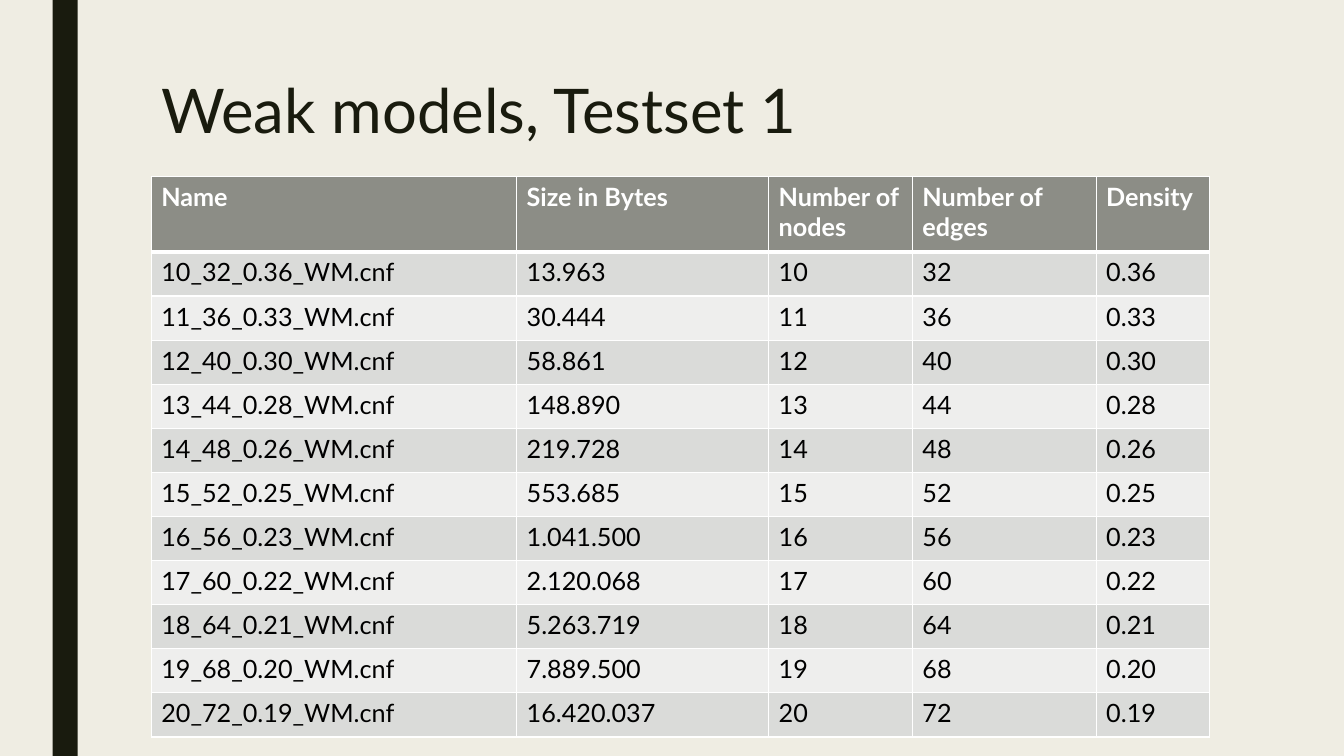
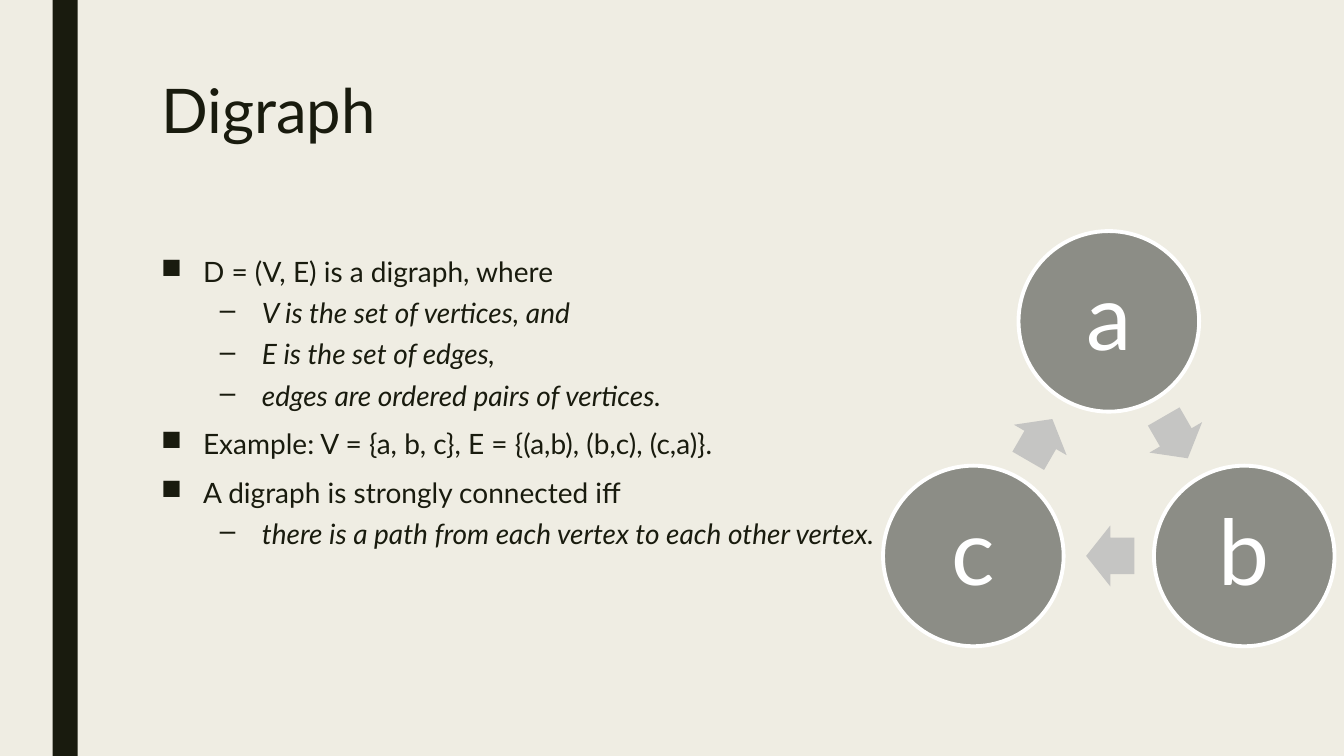
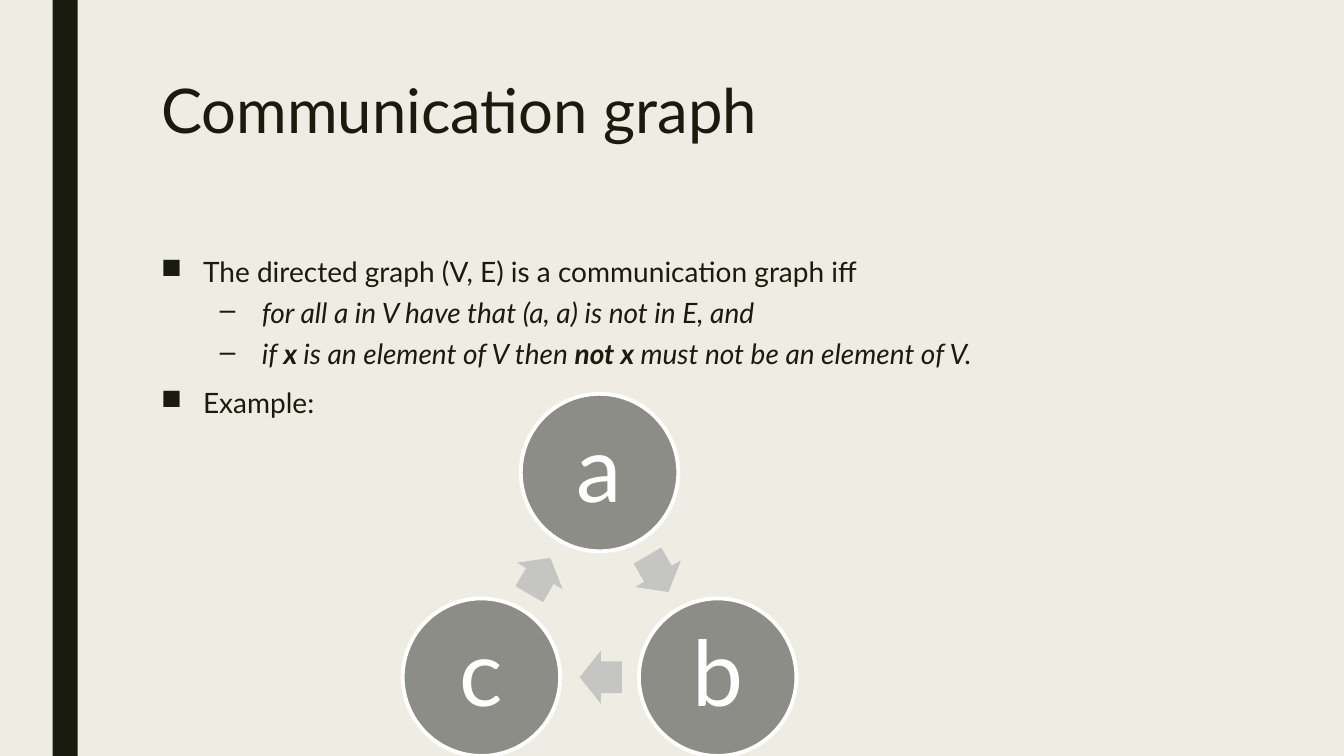
from math import cos, radians, sin, sqrt

from lxml import etree
from pptx import Presentation
from pptx.dml.color import RGBColor
from pptx.enum.shapes import MSO_SHAPE
from pptx.enum.text import MSO_ANCHOR, PP_ALIGN
from pptx.oxml.ns import qn
from pptx.util import Pt

RECTANGLE = MSO_SHAPE.RECTANGLE
OVAL = MSO_SHAPE.OVAL
RIGHT_ARROW = MSO_SHAPE.RIGHT_ARROW
MIDDLE = MSO_ANCHOR.MIDDLE
CENTER = PP_ALIGN.CENTER

THEME = {
    "font": "Lato",
    "ink": "191B0E",
    "paper": "EFEDE3",
    "accent": "8C8D86",
    "arrow": "C5C5C3",
    "white": "FFFFFF",
    "cell_text": "000000",
    "row_bands": ("DADBD9", "EEEEED"),
    "title_size": 44,
    "body_size": 20,
    "table_size": 18,
    "vertex_size": 65,
    "vertex_line": 2.75,
    "grid_line": 1,
    "header_line": 3,
}

EMU_PER_PX = 9525
SLIDE_SIZE = (1280, 720)
BAND_BOX = (50, 0, 24, 720)
TITLE_BOX = (144, 72, 1008, 156)
BODY_BOX = (144, 240, 1008, 376)
TABLE_ORIGIN = (144, 168)
COLUMN_WIDTHS = (348, 240, 137, 175, 108)
HEADER_HEIGHT, ROW_HEIGHT = 72, 42

BULLET_LEVELS = (
    {"char": "■", "left": 40, "hang": 40, "before": 10, "italic": False},
    {"char": "–", "left": 96, "hang": 40, "before": 5, "italic": True},
)

WEAK_MODELS_HEADER = ("Name", "Size in Bytes", "Number of nodes", "Number of edges", "Density")
WEAK_MODELS = [
    ("13.963", "10", "32", "0.36"),
    ("30.444", "11", "36", "0.33"),
    ("58.861", "12", "40", "0.30"),
    ("148.890", "13", "44", "0.28"),
    ("219.728", "14", "48", "0.26"),
    ("553.685", "15", "52", "0.25"),
    ("1.041.500", "16", "56", "0.23"),
    ("2.120.068", "17", "60", "0.22"),
    ("5.263.719", "18", "64", "0.21"),
    ("7.889.500", "19", "68", "0.20"),
    ("16.420.037", "20", "72", "0.19"),
]

VERTICES = ("a", "b", "c")
GRAPH_SLIDES = [
    {
        "title": "Digraph",
        "bullets": [
            (0, ["D = (V, E) is a digraph, where"]),
            (1, ["V is the set of vertices, and"]),
            (1, ["E is the set of edges,"]),
            (1, ["edges are ordered pairs of vertices."]),
            (0, ["Example: V = {a, b, c}, E = {(a,b), (b,c), (c,a)}."]),
            (0, ["A digraph is strongly connected iff"]),
            (1, ["there is a path from each vertex to each other vertex."]),
        ],
        "cycle": {"center": (1056, 455), "diameter": 172},
    },
    {
        "title": "Communication graph",
        "bullets": [
            (0, ["The directed graph (V, E) is a communication graph iff"]),
            (1, ["for all a in V have that (a, a) is not in E, and"]),
            (1, ["if ", "x ", "is an element of V then ", "not x ",
                 "must not be an element of V."]),
            (0, ["Example:"]),
        ],
        "cycle": {"center": (571, 580), "diameter": 150},
    },
]


def px(length):
    return round(length * EMU_PER_PX)


def rgb(color):
    return RGBColor.from_string(color)


def set_all(target, values):
    for key, value in values.items():
        setattr(target, key, value)


def add_run(paragraph, text, size, color, **styles):
    run = paragraph.add_run()
    run.text = text
    set_all(run.font, {"name": THEME["font"], "size": Pt(size), **styles})
    run.font.color.rgb = rgb(color)


def add_figure(slide, kind, box, fill, line=None):
    figure = slide.shapes.add_shape(kind, *map(px, box))
    figure.shadow.inherit = False
    figure.fill.solid()
    figure.fill.fore_color.rgb = rgb(fill)
    if line:
        figure.line.color.rgb = rgb(line)
        figure.line.width = Pt(THEME["vertex_line"])
    else:
        figure.line.fill.background()
    return figure


def add_text_frame(slide, box):
    frame = slide.shapes.add_textbox(*map(px, box)).text_frame
    frame.word_wrap = True
    return frame


def add_titled_slide(deck, title):
    slide = deck.slides.add_slide(deck.slide_layouts[6])
    add_figure(slide, RECTANGLE, BAND_BOX, THEME["ink"])
    heading = add_text_frame(slide, TITLE_BOX).paragraphs[0]
    heading.line_spacing = 0.89
    add_run(heading, title, THEME["title_size"], THEME["ink"])
    return slide


def add_bullets(slide, bullets):
    frame = add_text_frame(slide, BODY_BOX)
    for index, (level, parts) in enumerate(bullets):
        style = BULLET_LEVELS[level]
        paragraph = frame.add_paragraph() if index else frame.paragraphs[0]
        set_all(paragraph, {"level": level, "line_spacing": 0.94,
                            "space_before": Pt(style["before"]), "space_after": Pt(2)})
        properties = paragraph._p.get_or_add_pPr()
        properties.set("marL", str(px(style["left"])))
        properties.set("indent", str(-px(style["hang"])))
        etree.SubElement(properties, qn("a:buChar"), char=style["char"])
        for position, part in enumerate(parts):
            add_run(paragraph, part, THEME["body_size"], THEME["ink"],
                    italic=style["italic"], bold=position % 2 == 1)


def add_cycle(slide, center, diameter):
    radius = 1.5 * diameter / sqrt(3)
    arrow_length, arrow_width = 0.267 * diameter, 0.337 * diameter
    arrow_distance, setback = radius / 2, 0.008 * diameter
    for index, vertex in enumerate(VERTICES):
        angle = radians(120 * index - 90)
        x = center[0] + radius * cos(angle)
        y = center[1] + radius * sin(angle)
        circle = add_figure(slide, OVAL, (x - diameter / 2, y - diameter / 2, diameter, diameter),
                            THEME["accent"], THEME["white"])
        set_all(circle.text_frame, {"vertical_anchor": MIDDLE, "word_wrap": True})
        label = circle.text_frame.paragraphs[0]
        set_all(label, {"alignment": CENTER, "line_spacing": 0.9})
        add_run(label, vertex, THEME["vertex_size"], THEME["white"])

        heading = 60 + 120 * index
        outward, forward = radians(heading - 90), radians(heading)
        x = center[0] + arrow_distance * cos(outward) - setback * cos(forward)
        y = center[1] + arrow_distance * sin(outward) - setback * sin(forward)
        arrow = add_figure(slide, RIGHT_ARROW,
                           (x - arrow_length / 2, y - arrow_width / 2, arrow_length, arrow_width),
                           THEME["arrow"])
        arrow.rotation = heading
        arrow.adjustments[0] = 0.6
        arrow.adjustments[1] = 0.5


def set_borders(cell, widths):
    properties = cell._tc.get_or_add_tcPr()
    for side, width in widths.items():
        line = etree.SubElement(properties, qn(f"a:ln{side}"), w=str(Pt(width)))
        fill = etree.SubElement(line, qn("a:solidFill"))
        etree.SubElement(fill, qn("a:srgbClr"), val=THEME["white"])


def add_model_table(slide):
    rows = [WEAK_MODELS_HEADER]
    for size, nodes, edges, density in WEAK_MODELS:
        rows.append((f"{nodes}_{edges}_{density}_WM.cnf", size, nodes, edges, density))
    heights = [HEADER_HEIGHT] + [ROW_HEIGHT] * len(WEAK_MODELS)
    box = (*TABLE_ORIGIN, sum(COLUMN_WIDTHS), sum(heights))
    table = slide.shapes.add_table(len(rows), len(COLUMN_WIDTHS), *map(px, box)).table
    for column, width in zip(table.columns, COLUMN_WIDTHS):
        column.width = px(width)
    for index, (values, height) in enumerate(zip(rows, heights)):
        table.rows[index].height = px(height)
        header = index == 0
        fill = THEME["accent"] if header else THEME["row_bands"][(index - 1) % 2]
        color = THEME["white"] if header else THEME["cell_text"]
        widths = dict.fromkeys("LRTB", THEME["grid_line"])
        if header:
            widths["B"] = THEME["header_line"]
        elif index == 1:
            widths["T"] = THEME["header_line"]
        for cell, value in zip(table.rows[index].cells, values):
            set_borders(cell, widths)
            cell.fill.solid()
            cell.fill.fore_color.rgb = rgb(fill)
            add_run(cell.text_frame.paragraphs[0], value, THEME["table_size"], color, bold=header)


def main():
    deck = Presentation()
    deck.slide_width, deck.slide_height = map(px, SLIDE_SIZE)
    background = deck.slide_master.background.fill
    background.solid()
    background.fore_color.rgb = rgb(THEME["paper"])

    add_model_table(add_titled_slide(deck, "Weak models, Testset 1"))
    for content in GRAPH_SLIDES:
        slide = add_titled_slide(deck, content["title"])
        add_bullets(slide, content["bullets"])
        add_cycle(slide, **content["cycle"])
    deck.save("out.pptx")


if __name__ == "__main__":
    main()
